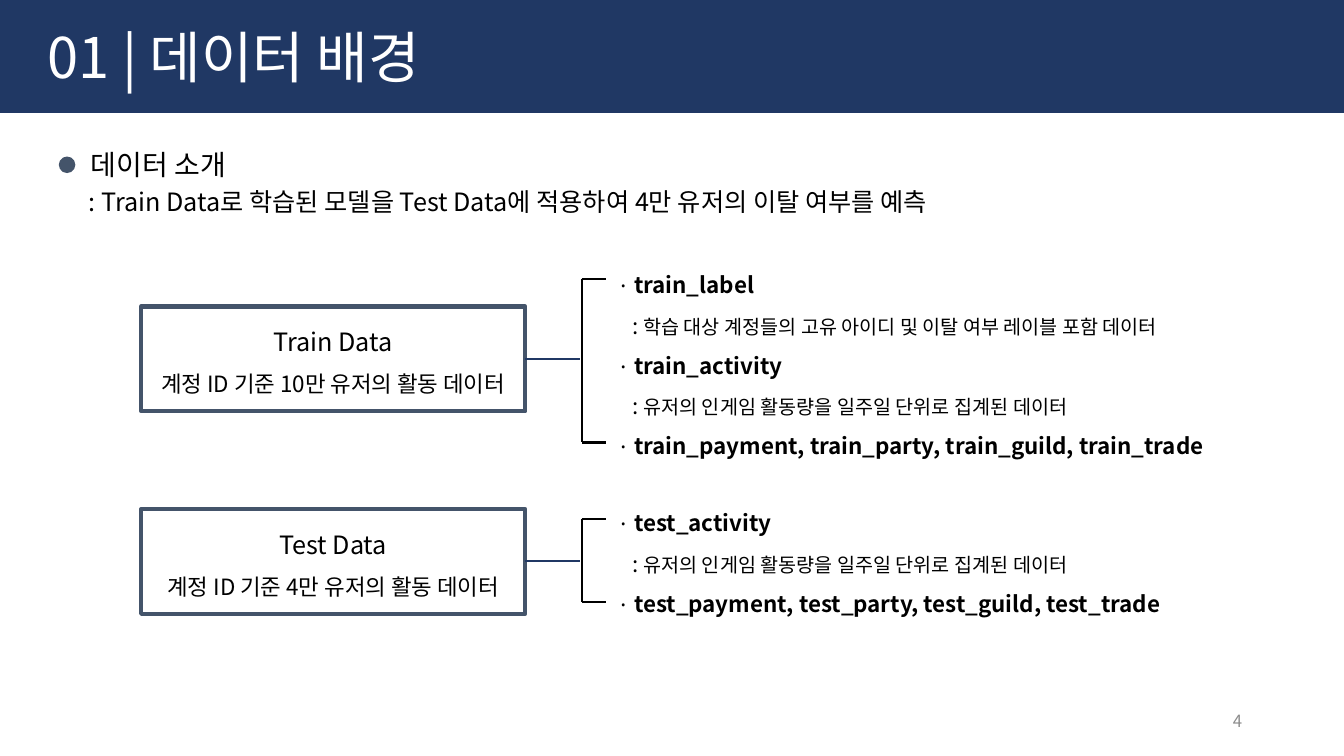
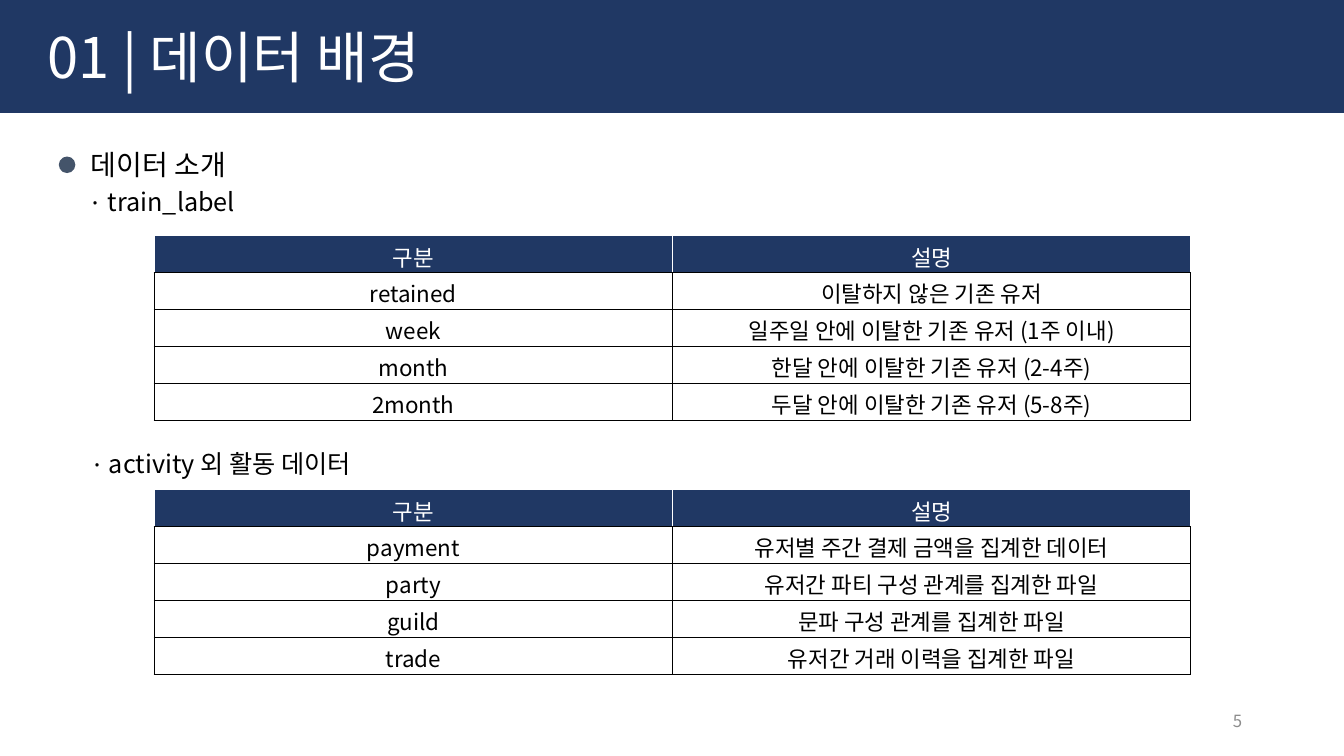
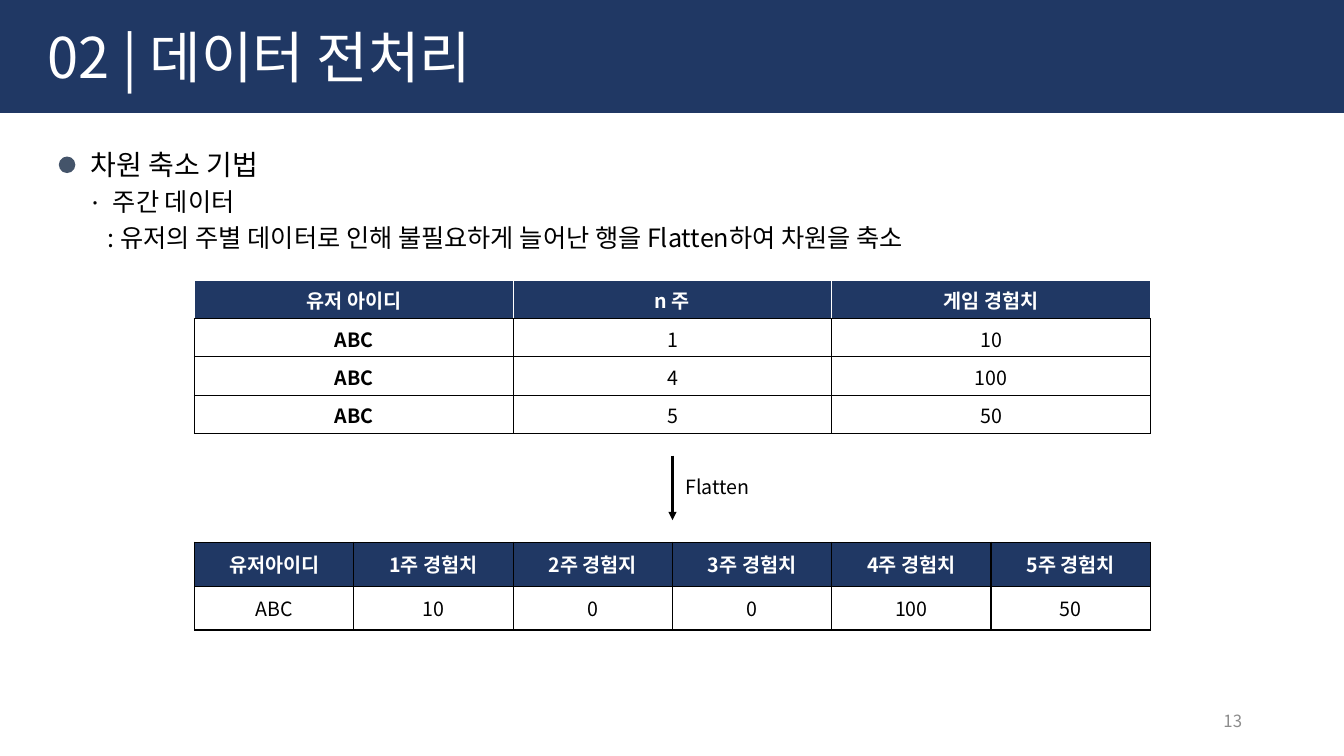
import pptx
import pptx.dml.color
import pptx.enum.shapes
import pptx.enum.text
import pptx.oxml.ns
import pptx.util
from lxml import etree

FONT = "Noto Sans CJK KR"
NAVY, SLATE, GRAY = "203864", "44546A", "8C8C8C"
BLACK, WHITE = "000000", "FFFFFF"
LEFT = pptx.enum.text.PP_ALIGN.LEFT
CENTER = pptx.enum.text.PP_ALIGN.CENTER
RIGHT = pptx.enum.text.PP_ALIGN.RIGHT
MIDDLE = pptx.enum.text.MSO_ANCHOR.MIDDLE
TOP = pptx.enum.text.MSO_ANCHOR.TOP
SHAPE = pptx.enum.shapes.MSO_SHAPE


def px(*values):
    emu = [pptx.util.Emu(v * 9144) for v in values]
    return emu if len(emu) > 1 else emu[0]


def rgb(value):
    return pptx.dml.color.RGBColor.from_string(value)


def child(parent, tag, **attrs):
    return etree.SubElement(parent, pptx.oxml.ns.qn(tag), **attrs)


def write(tf, text, size=18, color=BLACK, bold=False, align=LEFT, lead=1.0,
          before=0, indent=0, bullet=None, join=False):
    p = tf.paragraphs[-1]
    if not join:
        if p.runs:
            p = tf.add_paragraph()
        p.alignment = align
        p.line_spacing = lead
        p.space_before = pptx.util.Pt(before)
        pPr = p._p.get_or_add_pPr()
        pPr.set("marL", str(px(indent)))
        pPr.set("indent", str(px(-indent if bullet else 0)))
        if bullet:
            child(pPr, "a:buFont", typeface=FONT)
            child(pPr, "a:buChar", char=bullet)
        else:
            child(pPr, "a:buNone")
    r = p.add_run()
    r.text = text
    r.font.size = pptx.util.Pt(size)
    r.font.bold = bold
    r.font.color.rgb = rgb(color)
    r.font.name = FONT
    child(r._r.get_or_add_rPr(), "a:ea", typeface=FONT)


class Deck:
    def __init__(self):
        self.prs = pptx.Presentation()
        self.prs.slide_width, self.prs.slide_height = px(1333, 750)
        self.s = None

    def frame(self, sp, anchor=TOP, left=0, top=0):
        tf = sp.text_frame
        tf.word_wrap = True
        tf.auto_size = pptx.enum.text.MSO_AUTO_SIZE.NONE
        tf.vertical_anchor = anchor
        tf.margin_left, tf.margin_top = px(left, top)
        tf.margin_right = tf.margin_bottom = 0
        return tf

    def place(self, sp, x, y, w, h):
        sp.left, sp.top, sp.width, sp.height = px(x, y, w, h)

    def slide(self, title, heading, number):
        self.s = self.prs.slides.add_slide(self.prs.slide_layouts[1])
        band, body = self.s.placeholders
        self.place(band, 0, 0, 1333, 112)
        band.fill.solid()
        band.fill.fore_color.rgb = rgb(NAVY)
        write(self.frame(band, MIDDLE, left=47), title, size=40, color=WHITE)
        self.place(body, 88, 146, 1139, 128)
        self.body = self.frame(body)
        write(self.body, heading, size=20, indent=2)
        self.shape(SHAPE.OVAL, 59, 156, 15, 15, SLATE, 1, fill=SLATE)
        write(self.text(952, 695, 280, 40, MIDDLE), number,
              size=12, color=GRAY, align=RIGHT)

    def point(self, text, **style):
        write(self.body, text, before=4, **style)

    def text(self, x, y, w, h, anchor=TOP):
        return self.frame(self.s.shapes.add_textbox(*px(x, y, w, h)), anchor)

    def shape(self, kind, x, y, w, h, line, weight, fill=None):
        sp = self.s.shapes.add_shape(kind, *px(x, y, w, h))
        sp.shadow.inherit = False
        if fill:
            sp.fill.solid()
            sp.fill.fore_color.rgb = rgb(fill)
        else:
            sp.fill.background()
        sp.line.color.rgb = rgb(line)
        sp.line.width = pptx.util.Pt(weight)
        return sp

    def line(self, x1, y1, x2, y2, color=BLACK, arrow=False, start=None):
        c = self.s.shapes.add_connector(
            pptx.enum.shapes.MSO_CONNECTOR.STRAIGHT, *px(x1, y1, x2, y2))
        c.line.color.rgb = rgb(color)
        c.line.width = pptx.util.Pt(1.5)
        spPr = c._element.spPr
        if arrow:
            child(spPr.find(pptx.oxml.ns.qn("a:ln")), "a:tailEnd", type="triangle")
        child(spPr, "a:effectLst")
        if start:
            c.begin_connect(start, 3)

    def dataset(self, y, name, summary):
        box = self.shape(SHAPE.RECTANGLE, 140, y, 381, 104, SLATE, 3)
        tf = self.frame(box, top=5)
        write(tf, name, align=CENTER, lead=1.5)
        write(tf, summary, size=16, align=CENTER, lead=1.5)
        self.line(521, y + 52, 575, y + 52, NAVY, start=box)

    def bracket(self, top, bottom):
        self.line(577, top, 577, bottom)
        for y in (top, bottom):
            self.line(577, y, 601, y)

    def files(self, y, h, items):
        tf = self.text(612, y, 640, h)
        for name, about in items:
            write(tf, name, size=16, bold=True, lead=1.5, indent=17, bullet="·")
            if about:
                write(tf, ": ", size=16, lead=1.5, indent=15)
                write(tf, about, size=14, join=True)

    def borders(self, cell, edge):
        tcPr = cell._tc.get_or_add_tcPr()
        for side in "LRTB":
            ln = child(tcPr, "a:ln" + side, w="12700")
            color = BLACK if side == "B" else edge
            child(child(ln, "a:solidFill"), "a:srgbClr", val=color)

    def table(self, x, y, w, h, rows, size=14, pad=0, edge=WHITE,
              bold_head=True, bold_first=False):
        n, m = len(rows), len(rows[0])
        tbl = self.s.shapes.add_table(n, m, *px(x, y, w, h)).table
        tbl.horz_banding = False
        for row in tbl.rows:
            row.height = px(h) // n
        for col in tbl.columns:
            col.width = px(w) // m
        for i, row in enumerate(rows):
            head = i == 0
            for j, value in enumerate(row):
                cell = tbl.cell(i, j)
                cell.vertical_anchor = MIDDLE
                cell.margin_top, cell.margin_bottom = px(pad, 0)
                self.borders(cell, edge if head else BLACK)
                cell.fill.solid()
                cell.fill.fore_color.rgb = rgb(NAVY if head else WHITE)
                write(cell.text_frame, value, size=size, align=CENTER,
                      color=WHITE if head else BLACK,
                      bold=bold_head if head else bold_first and j == 0)


def data_overview(d):
    d.slide("01 | 데이터 배경", "데이터 소개", "4")
    d.point(": Train Data로 학습된 모델을 Test Data에 적용하여 4만 유저의 이탈 여부를 예측")
    d.dataset(304, "Train Data", "계정 ID 기준 10만 유저의 활동 데이터")
    d.dataset(505, "Test Data", "계정 ID 기준 4만 유저의 활동 데이터")
    d.bracket(277, 439)
    d.bracket(515, 597)
    weekly = "유저의 인게임 활동량을 일주일 단위로 집계된 데이터"
    d.files(256, 202, [
        ("train_label", "학습 대상 계정들의 고유 아이디 및 이탈 여부 레이블 포함 데이터"),
        ("train_activity", weekly),
        ("train_payment, train_party, train_guild, train_trade", None)])
    d.files(492, 121, [
        ("test_activity", weekly),
        ("test_payment, test_party, test_guild, test_trade", None)])


def data_fields(d):
    d.slide("01 | 데이터 배경", "데이터 소개", "5")
    d.point("train_label", indent=19, bullet="·")
    head = ("구분", "설명")
    style = dict(size=16, pad=4, bold_head=False)
    d.table(153, 234, 1028, 183, [
        head,
        ("retained", "이탈하지 않은 기존 유저"),
        ("week", "일주일 안에 이탈한 기존 유저 (1주 이내)"),
        ("month", "한달 안에 이탈한 기존 유저 (2-4주)"),
        ("2month", "두달 안에 이탈한 기존 유저 (5-8주)")], **style)
    write(d.text(90, 445, 1139, 40), "activity 외 활동 데이터", indent=18, bullet="·")
    d.table(153, 486, 1028, 183, [
        head,
        ("payment", "유저별 주간 결제 금액을 집계한 데이터"),
        ("party", "유저간 파티 구성 관계를 집계한 파일"),
        ("guild", "문파 구성 관계를 집계한 파일"),
        ("trade", "유저간 거래 이력을 집계한 파일")], **style)


def flattening(d):
    d.slide("02 | 데이터 전처리", "차원 축소 기법", "13")
    d.point("주간 데이터", indent=24, bullet="·")
    d.point(": 유저의 주별 데이터로 인해 불필요하게 늘어난 행을 Flatten하여 차원을 축소",
            indent=19)
    d.table(193, 278, 948, 152, [
        ("유저 아이디", "n 주", "게임 경험치"),
        ("ABC", "1", "10"),
        ("ABC", "4", "100"),
        ("ABC", "5", "50")], pad=2, bold_first=True)
    d.line(667, 452, 667, 516, arrow=True)
    write(d.text(680, 471, 156, 30), "Flatten", size=14)
    d.table(193, 538, 948, 87, [
        ("유저아이디", "1주 경험치", "2주 경험지", "3주 경험치", "4주 경험치", "5주 경험치"),
        ("ABC", "10", "0", "0", "100", "50")], edge=BLACK)


def main():
    d = Deck()
    data_overview(d)
    data_fields(d)
    flattening(d)
    d.prs.save("out.pptx")


if __name__ == "__main__":
    main()
